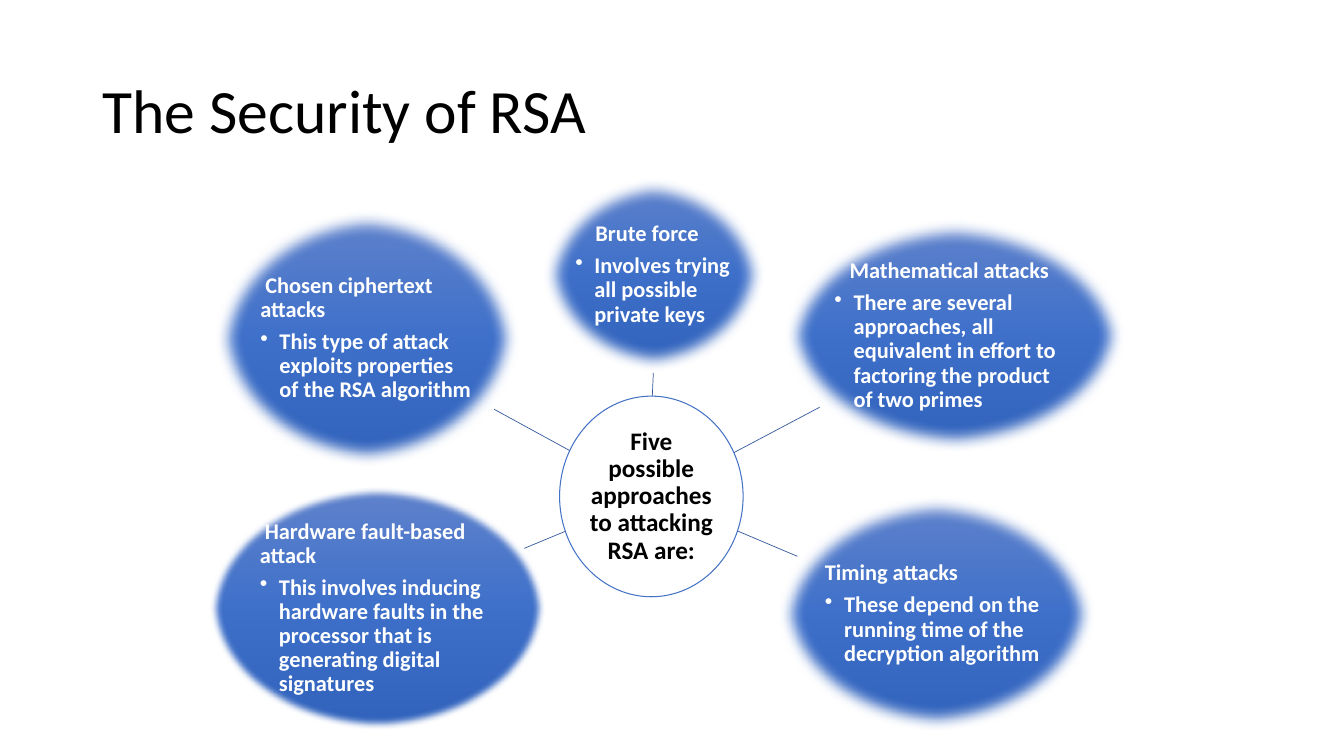
from dataclasses import dataclass

from lxml import etree
from pptx import Presentation
from pptx import util as u
from pptx.dml.color import RGBColor
from pptx.enum import shapes, text
from pptx.oxml.ns import qn


@dataclass(frozen=True)
class Theme:
    """Colours, type sizes and shared measures."""
    font: str = "Calibri"
    black: str = "000000"
    white: str = "FFFFFF"
    outline: str = "4472C4"
    spoke: str = "365B9D"
    gradient: tuple = ("6183CB", "3E70CA", "3062BB")
    title: int = 44
    hub: int = 18
    body: int = 16
    line_spacing: float = 0.9
    ellipse_inset: float = 0.1464


THEME = Theme()

ATTACKS = [
    ((5.37, 1.75, 2.23, 1.95), 0.2, 10, "Brute force",
     "Involves trying all possible private keys"),
    ((7.77, 2.17, 3.39, 2.32), 0.15, 10, "Mathematical attacks",
     "There are several approaches, all equivalent in effort to factoring "
     "the product of two primes"),
    ((7.71, 4.92, 3.16, 2.34), 0, 10, "Timing attacks",
     "These depend on the running time of the decryption algorithm"),
    ((2.08, 4.83, 3.33, 2.41), 0.05, 5, "Hardware fault-based attack",
     "This involves inducing hardware faults in the processor that is "
     "generating digital signatures"),
    ((2.13, 2.08, 3.02, 2.55), 0.05, 10, "Chosen ciphertext attacks",
     "This type of attack exploits properties of the RSA algorithm"),
]

SPOKES = [
    (6.47, 3.93, 6.48, 3.7),
    (7.28, 4.49, 8.13, 4.04),
    (7.32, 5.27, 7.91, 5.52),
    (5.61, 5.27, 5.2, 5.44),
    (5.65, 4.47, 4.9, 4.06),
]


def inches(values):
    """Convert a sequence of numbers to lengths."""
    return [u.Inches(value) for value in values]


def style(paragraph, size, color, bold=True):
    """Set the font and line spacing of a paragraph."""
    paragraph.line_spacing = THEME.line_spacing
    paragraph.font.name = THEME.font
    paragraph.font.size = u.Pt(size)
    paragraph.font.bold = bold
    paragraph.font.color.rgb = RGBColor.from_string(color)


def indent(paragraph, left, first, bullet=None):
    """Set the left margin, first-line indent and optional bullet."""
    properties = paragraph._p.get_or_add_pPr()
    properties.set("marL", str(u.Inches(left)))
    properties.set("indent", str(u.Inches(first)))
    if bullet:
        etree.SubElement(properties, qn("a:buChar")).set("char", bullet)


def add_text_frame(slide, box, margins):
    """Add a wrapped, vertically centred text box and return its frame."""
    frame = slide.shapes.add_textbox(*inches(box)).text_frame
    frame.word_wrap = True
    frame.vertical_anchor = text.MSO_ANCHOR.MIDDLE
    frame.margin_left, frame.margin_top, frame.margin_right, frame.margin_bottom = inches(margins)
    return frame


def add_ellipse_text(slide, box):
    """Add a text frame over the rectangle inscribed in an ellipse."""
    left, top, width, height = box
    inset = THEME.ellipse_inset
    inner = (left + width * inset, top + height * inset,
             width * (1 - 2 * inset), height * (1 - 2 * inset))
    return add_text_frame(slide, inner, [0.01] * 4)


def add_ellipse(slide, box):
    """Add an ellipse without a shadow."""
    shape = slide.shapes.add_shape(shapes.MSO_SHAPE.OVAL, *inches(box))
    shape.shadow.inherit = False
    return shape


def add_title(slide, wording):
    """Add the slide title."""
    frame = add_text_frame(slide, (0.92, 0.4, 11.5, 1.45), (0.1, 0.05, 0.1, 0.05))
    paragraph = frame.paragraphs[0]
    paragraph.text = wording
    style(paragraph, THEME.title, THEME.black, bold=False)


def add_hub(slide, wording):
    """Add the central outlined ellipse."""
    box = (5.55, 3.93, 1.82, 1.99)
    shape = add_ellipse(slide, box)
    shape.fill.solid()
    shape.fill.fore_color.rgb = RGBColor.from_string(THEME.white)
    shape.line.color.rgb = RGBColor.from_string(THEME.outline)
    shape.line.width = u.Pt(0.75)
    paragraph = add_ellipse_text(slide, box).paragraphs[0]
    paragraph.text = wording
    paragraph.alignment = text.PP_ALIGN.CENTER
    style(paragraph, THEME.hub, THEME.black)


def add_spoke(slide, ends):
    """Add a thin line from the hub towards an attack."""
    connector = slide.shapes.add_connector(shapes.MSO_CONNECTOR.STRAIGHT, *inches(ends))
    connector.line.color.rgb = RGBColor.from_string(THEME.spoke)
    connector.line.width = u.Pt(0.5)
    etree.SubElement(connector._element.spPr, qn("a:effectLst"))


def fill_gradient(shape):
    """Fill a shape with the vertical theme gradient."""
    shape.fill.gradient()
    shape.fill.gradient_angle = 270
    stops = shape.fill._fill._gradFill.find(qn("a:gsLst"))
    for stop in list(stops):
        stops.remove(stop)
    for position, color in zip((0, 50000, 100000), THEME.gradient):
        stop = etree.SubElement(stops, qn("a:gs"), pos=str(position))
        etree.SubElement(stop, qn("a:srgbClr"), val=color)


def add_attack(slide, box, heading_indent, softness, heading, detail):
    """Add a soft-edged ellipse with a heading and one bullet."""
    shape = add_ellipse(slide, box)
    fill_gradient(shape)
    shape.line.fill.background()
    effects = shape._element.spPr.find(qn("a:effectLst"))
    etree.SubElement(effects, qn("a:softEdge"), rad=str(u.Pt(softness)))
    frame = add_ellipse_text(slide, box)
    first = frame.paragraphs[0]
    first.text = heading
    first.space_after = u.Pt(5.6)
    indent(first, 0, heading_indent)
    second = frame.add_paragraph()
    second.text = detail
    indent(second, 0.19, -0.19, "•")
    for paragraph in frame.paragraphs:
        style(paragraph, THEME.body, THEME.white)


def main():
    """Build the slide and save it."""
    presentation = Presentation()
    presentation.slide_width, presentation.slide_height = inches((13.33, 7.5))
    slide = presentation.slides.add_slide(presentation.slide_layouts[6])
    add_title(slide, "The Security of RSA")
    add_hub(slide, "Five possible approaches to attacking RSA are:")
    for ends, attack in zip(SPOKES, ATTACKS):
        add_spoke(slide, ends)
        add_attack(slide, *attack)
    presentation.save("out.pptx")


if __name__ == "__main__":
    main()
